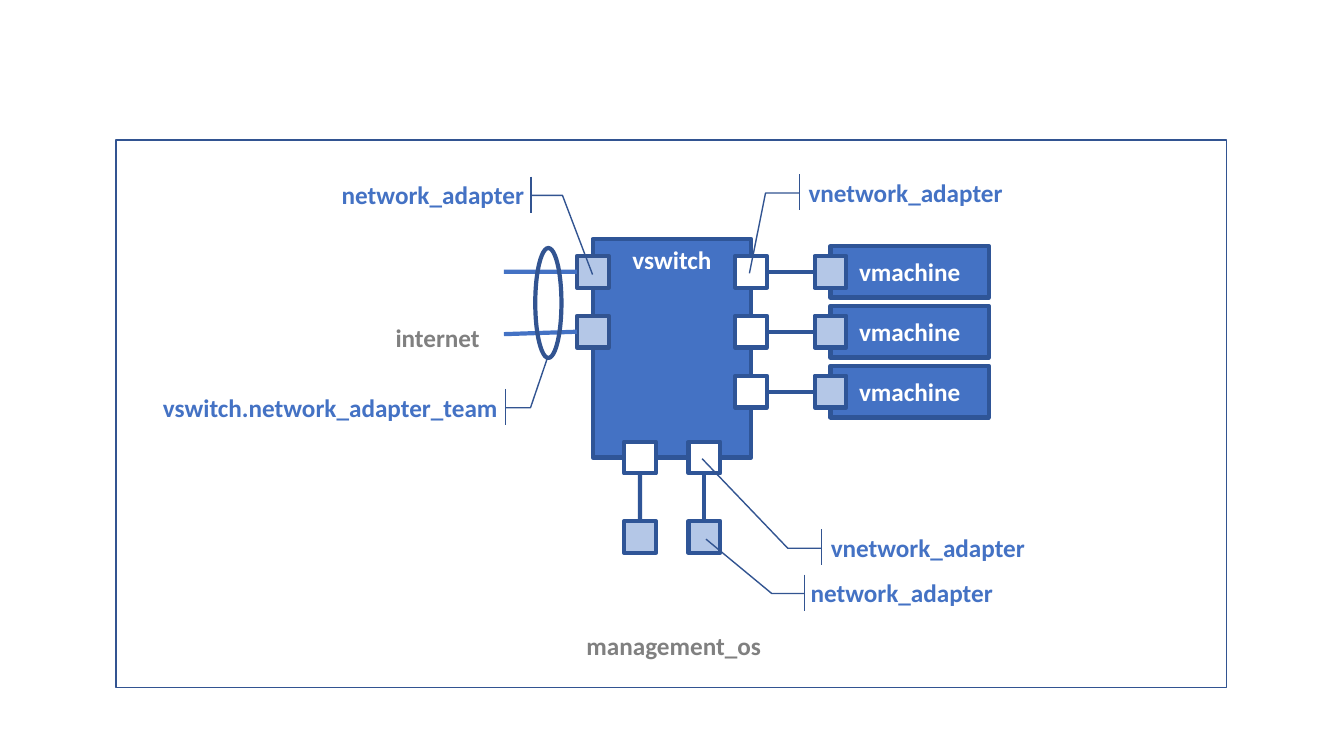
from lxml import etree
from pptx import Presentation
from pptx.dml.color import RGBColor as Rgb
from pptx.enum.shapes import MSO_CONNECTOR as Link, MSO_SHAPE as Kind
from pptx.enum.text import MSO_ANCHOR as Anchor, PP_ALIGN as Align
from pptx.oxml.ns import qn
from pptx.util import Cm, Pt

HUES = {"blue": "4472C4", "navy": "2F5597", "edge": "325491",
        "pale": "B4C7E7", "white": "FFFFFF", "gray": "808080"}
PORT = 0.8
ROWS = [0.83 + 1.51 * row for row in range(3)]
TOP, LEFT, BOTTOM, RIGHT = range(4)


def hue(name):
    return Rgb.from_string(HUES[name])


def shape(slide, kind, box, fill=None, line=None, width=3):
    item = slide.shapes.add_shape(kind, *(Cm(side) for side in box))
    item.shadow.inherit = False
    if fill:
        item.fill.solid()
        item.fill.fore_color.rgb = hue(fill)
    else:
        item.fill.background()
    if line:
        item.line.color.rgb = hue(line)
        item.line.width = Pt(width)
    else:
        item.line.fill.background()
    return item


def write(item, text, color="white", size=18, anchor=Anchor.MIDDLE):
    frame = item.text_frame
    frame.word_wrap = True
    frame.margin_left = frame.margin_right = 0
    frame.vertical_anchor = anchor
    para = frame.paragraphs[0]
    para.alignment = Align.CENTER
    run = para.add_run()
    run.text = text
    run.font.name = "Calibri"
    run.font.size = Pt(size)
    run.font.bold = True
    run.font.color.rgb = hue(color)


def join(slide, start, end, color="navy"):
    wire = slide.shapes.add_connector(
        Link.STRAIGHT, *(Cm(side) for side in start + end))
    wire.line.color.rgb = hue(color)
    wire.line.width = Pt(3)
    etree.SubElement(wire._element.spPr, qn("a:effectLst"))
    return wire


def port(slide, x, y, fill, line="navy"):
    box = (x - PORT / 2, y - PORT / 2, PORT, PORT)
    return shape(slide, Kind.RECTANGLE, box, fill, line)


def label(slide, text, box):
    write(shape(slide, Kind.RECTANGLE, box, "white"), text, "gray")


def callout(slide, text, box, bends):
    item = shape(slide, Kind.LINE_CALLOUT_2_ACCENT_BAR, box,
                 "white", "edge", 1)
    for spot, bend in enumerate(bends):
        item.adjustments[spot] = bend
    write(item, text, "blue")


def switch(slide, box):
    item = shape(slide, Kind.RECTANGLE, box, "blue", "navy")
    write(item, "vswitch", anchor=Anchor.TOP)


def machines(slide, box):
    left, top, wide, _ = box
    edge = left + wide
    for row in ROWS:
        y = top + row
        unit = shape(slide, Kind.RECTANGLE, (edge + 2, y - 0.65, wide, 1.3),
                     "blue", "navy")
        write(unit, "vmachine")
        plug = port(slide, edge, y, "white")
        wire = join(slide, (edge, y), (edge + 2, y))
        wire.begin_connect(plug, RIGHT)
        wire.end_connect(unit, LEFT)
        port(slide, edge + 2, y, "pale")


def host(slide, box):
    left, top, _, high = box
    base = top + high
    for shift in (1.19, 2.81):
        x = left + shift
        plug = port(slide, x, base, "white")
        wire = join(slide, (x, base), (x, base + 2))
        wire.begin_connect(plug, BOTTOM)
        port(slide, x, base + 2, "pale")


def team(slide, box):
    left, top = box[:2]
    for row, drop in zip(ROWS, (0, 0.06)):
        y = top + row
        card = port(slide, left, y, "pale", "edge")
        wire = join(slide, (left - 2.24, y + drop), (left, y), "blue")
        wire.end_connect(card, LEFT)
    shape(slide, Kind.OVAL, (left - 1.45, top + 0.23, 0.66, 2.77),
          line="edge")


def notes(slide, box):
    left, top = box[:2]
    high = 0.91
    for text, x, y, wide in (("internet", 6.61, 4.52, 3),
                             ("management_os", 11.56, 12.29, 5)):
        label(slide, text, (left + x, top + y, wide, high))
    calls = (
        ("vnetwork_adapter", 17.2, 0.86, 5.41,
         (0.005, -0.153, 2.746, -0.228)),
        ("vswitch.network_adapter_team", 0.81, 6.27, 9.19,
         (0.98, 1.049, -0.846, 1.095)),
        ("network_adapter", 5.41, 0.92, 5.16,
         (0.98, 1.133, 2.714, 1.28)),
        ("network_adapter", 17.2, 10.95, 5.21,
         (0.031, -0.129, -0.983, -0.447)),
        ("vnetwork_adapter", 17.76, 9.81, 5.41,
         (0.005, -0.153, -1.958, -0.552)),
    )
    for text, x, y, wide, (bar, knee, tip, end) in calls:
        callout(slide, text, (left + x, top + y, wide, high),
                (0.523, bar, 0.523, knee, tip, end))


def system(slide, box):
    left, top = box[:2]
    shape(slide, Kind.RECTANGLE, box, line="edge", width=1)
    core = (left + 12.02, top + 2.49, 3.99, 5.51)
    for part in (switch, machines, host, team):
        part(slide, core)
    notes(slide, box)


def main():
    deck = Presentation()
    deck.slide_width, deck.slide_height = Cm(33.87), Cm(19.05)
    slide = deck.slides.add_slide(deck.slide_layouts[6])
    system(slide, (2.92, 3.53, 27.99, 13.79))
    deck.save("out.pptx")


if __name__ == "__main__":
    main()
